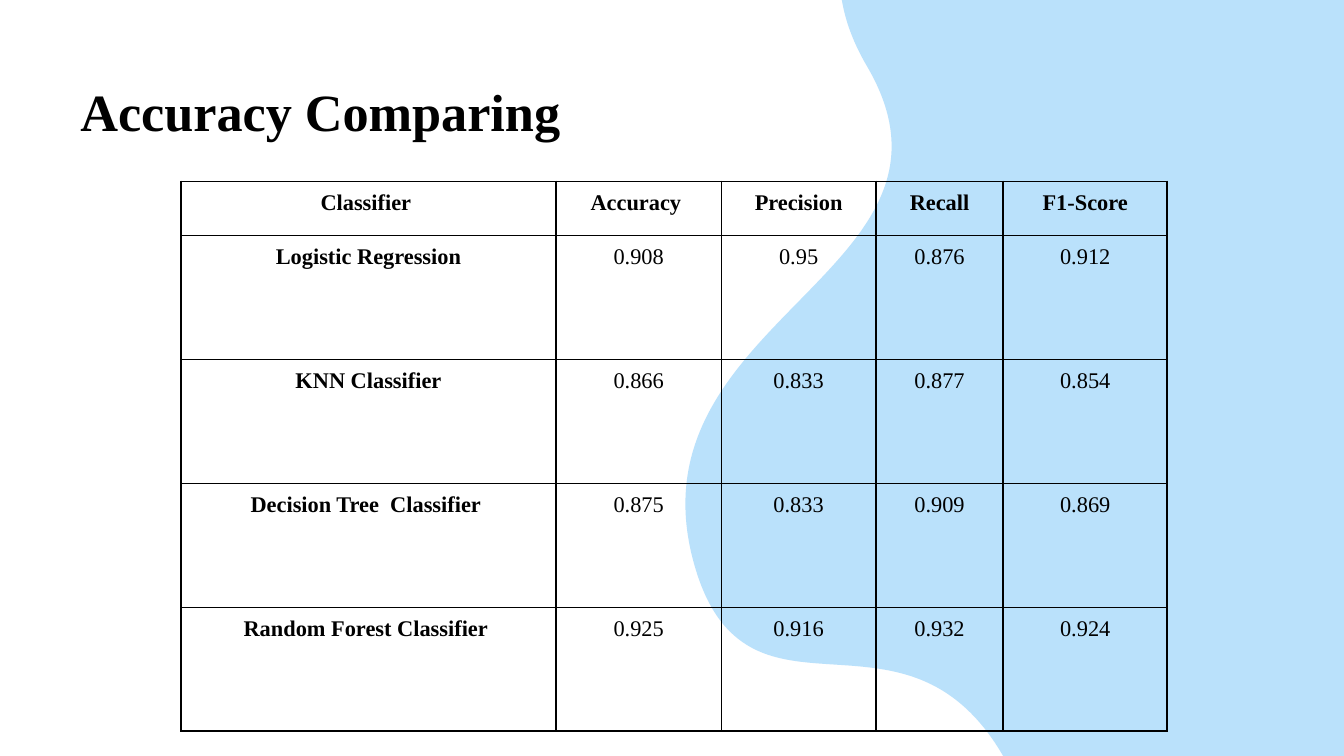
"""Build a slide that compares four classifiers in a table over a blue wave."""
from dataclasses import dataclass
from math import cos, radians, sin

from lxml import etree
from pptx import Presentation
from pptx.dml.color import RGBColor
from pptx.enum.text import MSO_ANCHOR, PP_ALIGN
from pptx.oxml.ns import qn
from pptx.util import Pt

TOP = MSO_ANCHOR.TOP
LEFT, CENTER = PP_ALIGN.LEFT, PP_ALIGN.CENTER


@dataclass(frozen=True)
class Theme:
    ink: str = "000000"
    wave: str = "8FCEF9"
    alpha: int = 61
    font: str = "Times New Roman"
    title: int = 28
    body: int = 12
    rule: int = 1


theme = Theme()


def write(frame, text, size, bold, align):
    para = frame.paragraphs[0]
    para.alignment = align
    run = para.add_run()
    run.text = text
    style = {"name": theme.font, "size": Pt(size), "bold": bold}
    for key, value in style.items():
        setattr(run.font, key, value)
    run.font.color.rgb = RGBColor.from_string(theme.ink)


def edge(cell, side):
    line = etree.SubElement(cell._tc.get_or_add_tcPr(), qn(f"a:{side}"), w=str(Pt(theme.rule)))
    fill = etree.SubElement(line, qn("a:solidFill"))
    etree.SubElement(fill, qn("a:srgbClr"), val=theme.ink)


deck = Presentation()
deck.slide_width, deck.slide_height = Pt(720), Pt(405)
slide = deck.slides.add_slide(deck.slide_layouts[6])
shapes = slide.shapes

moves = [
    ("moveTo", [(606.2, 545.8)]),
    ("cubicBezTo", [(655.9, 575.3), (724.3, 499.7), (805.7, 528.5)]),
    ("cubicBezTo", [(916.6, 567.4), (956.9, 320.4), (1031, 323.3)]),
    ("cubicBezTo", [(1059.8, 324), (1079.3, 306.7), (1093, 285.1)]),
    ("cubicBezTo", [(1118.2, 244.8), (1109.5, 195.1), (1075, 174.2)]),
    ("lnTo", [(595.4, -113.8)]),
    ("cubicBezTo", [(595.4, -114.5), (594.7, -114.5), (594.7, -114.5)]),
    ("cubicBezTo", [(573.8, -126.7), (547.2, -126), (523.4, -111.6)]),
    ("cubicBezTo", [(480.2, -86.4), (422.6, -36), (464.4, 35.3)]),
    ("cubicBezTo", [(527.8, 143.3), (342, 169.9), (370.1, 295.2)]),
    ("cubicBezTo", [(376.6, 323.3), (387.4, 337.7), (400.3, 345.6)]),
    ("cubicBezTo", [(428.4, 362.9), (468.7, 348.5), (504, 369.4)]),
    ("cubicBezTo", [(525.6, 382.3), (545, 407.5), (559.4, 461.5)]),
    ("cubicBezTo", [(572.4, 510.5), (588.2, 535), (606.2, 545.8)]),
    ("close", []),
]
left, top, wide, high = 306.7, -19.4, 740.9, 561.6
turn = 210.7
cosine, sine = cos(radians(turn)), sin(radians(turn))
frame = shapes.build_freeform(Pt(left), Pt(top))
frame.add_line_segments([
    (Pt(left + wide), Pt(top)),
    (Pt(left + wide), Pt(top + high)),
    (Pt(left), Pt(top + high)),
])
wave = frame.convert_to_shape()
wave.rotation = turn
outline = next(wave._element.iter(qn("a:path")))
for part in list(outline):
    outline.remove(part)
for kind, points in moves:
    move = etree.SubElement(outline, qn(f"a:{kind}"))
    for x, y in points:
        dx, dy = x - left - wide / 2, y - top - high / 2
        across = wide / 2 + dx * cosine + dy * sine
        down = high / 2 - dx * sine + dy * cosine
        etree.SubElement(move, qn("a:pt"), x=str(Pt(across)), y=str(Pt(down)))
wave.shadow.inherit = False
wave.line.fill.background()
wave.fill.solid()
wave.fill.fore_color.rgb = RGBColor.from_string(theme.wave)
tint = wave._element.spPr.find(qn("a:solidFill"))[0]
etree.SubElement(tint, qn("a:alpha"), val=str(theme.alpha * 1000))

title = shapes.add_textbox(Pt(36), Pt(35.3), Pt(296), Pt(45.4)).text_frame
inset = Pt(7.2)
look = {
    "word_wrap": True, "vertical_anchor": TOP,
    "margin_left": inset, "margin_right": inset,
    "margin_top": inset, "margin_bottom": inset,
}
for key, value in look.items():
    setattr(title, key, value)
write(title, "Accuracy Comparing", theme.title, True, LEFT)

rows = [
    ("Classifier ", "Accuracy ", "Precision", "Recall", "F1-Score"),
    ("Logistic Regression", "0.908", "0.95", "0.876", "0.912"),
    ("KNN Classifier", "0.866", "0.833", "0.877", "0.854"),
    ("Decision Tree  Classifier ", "0.875", "0.833", "0.909", "0.869"),
    ("Random Forest Classifier ", "0.925", "0.916", "0.932", "0.924"),
]
widths = [200.9, 88.6, 82.8, 68.2, 87.9]
heights = [29] + [66.4] * 4
table = shapes.add_table(
    len(rows), len(widths), Pt(97), Pt(97.2), Pt(sum(widths)), Pt(sum(heights))
).table
table.first_row = table.horz_banding = False
for col, width in zip(table.columns, widths):
    col.width = Pt(width)
for row, height in zip(table.rows, heights):
    row.height = Pt(height)
pad = Pt(5)
look = {
    "vertical_anchor": TOP, "margin_left": pad, "margin_right": pad,
    "margin_top": pad, "margin_bottom": pad,
}
for r, row in enumerate(rows):
    for c, text in enumerate(row):
        cell = table.cell(r, c)
        for key, value in look.items():
            setattr(cell, key, value)
        for side in ("lnL", "lnR", "lnT", "lnB"):
            edge(cell, side)
        cell.fill.background()
        write(cell.text_frame, text, theme.body, r == 0 or c == 0, CENTER)

deck.save("out.pptx")
